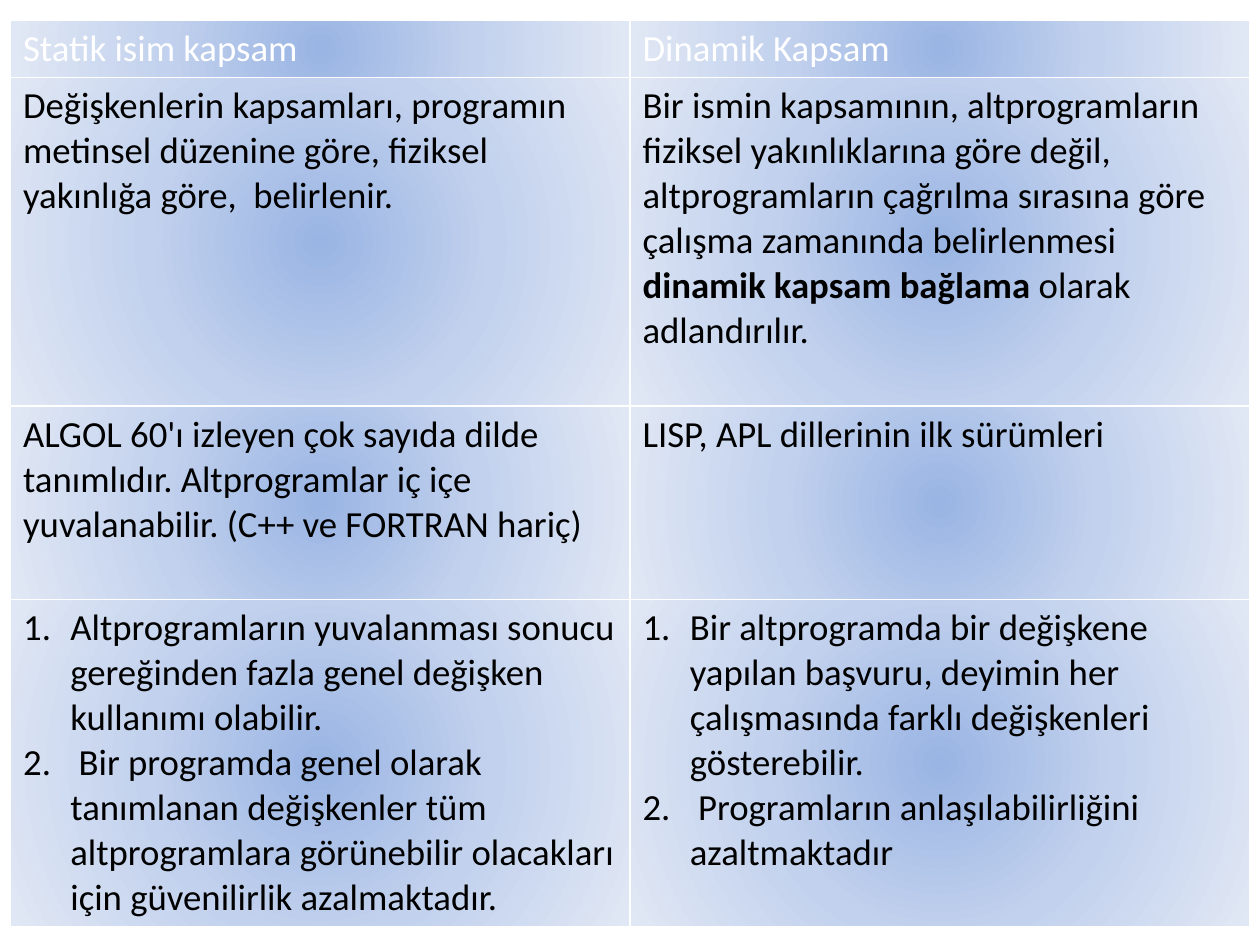
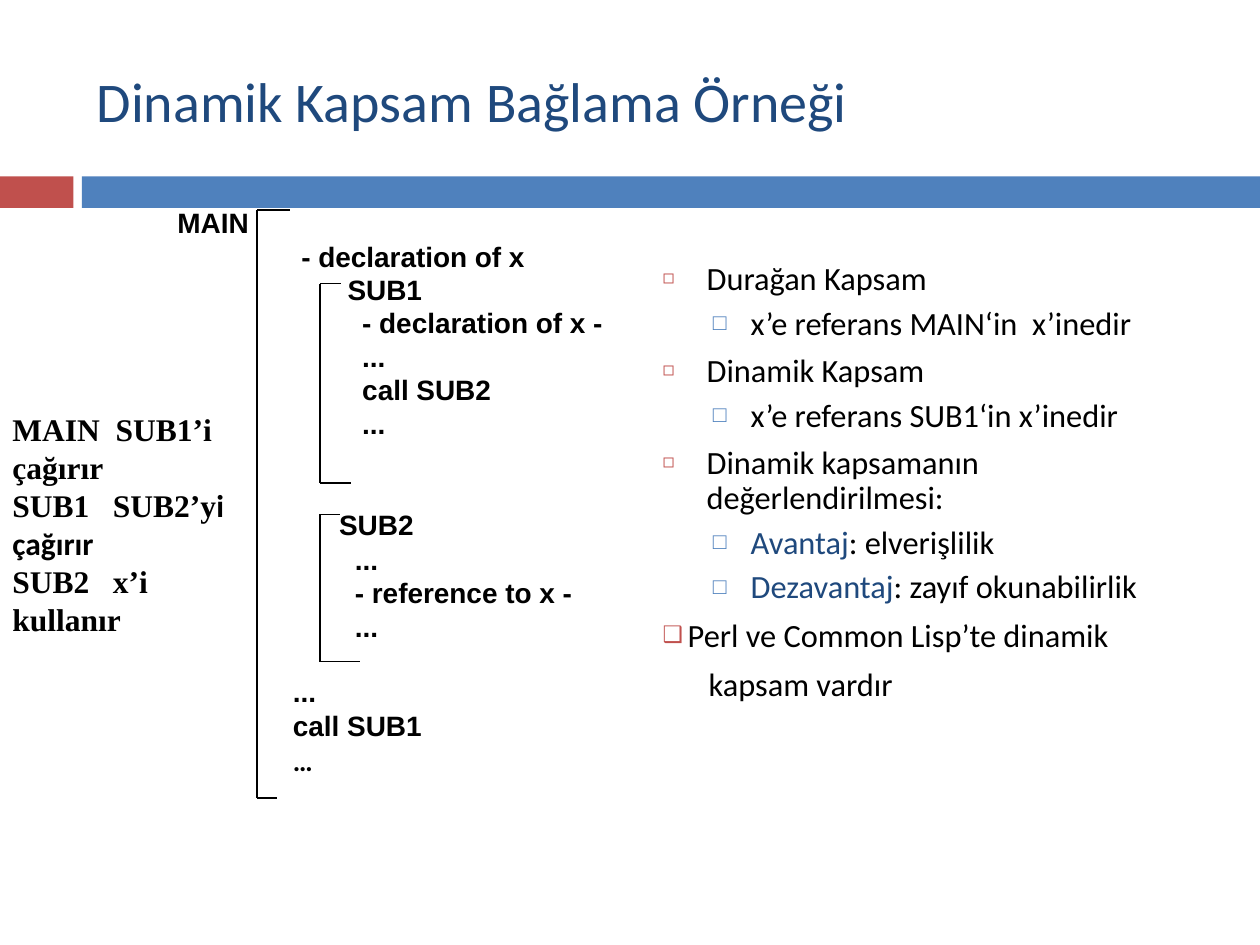
from lxml import etree
from pptx import Presentation
from pptx.dml.color import RGBColor
from pptx.enum.shapes import MSO_CONNECTOR, MSO_SHAPE
from pptx.enum.text import MSO_ANCHOR, MSO_AUTO_SIZE, PP_ALIGN
from pptx.oxml import parse_xml
from pptx.oxml.ns import nsdecls, qn
from pptx.util import Inches, Pt

LINE, RECT = MSO_CONNECTOR.STRAIGHT, MSO_SHAPE.RECTANGLE
LEFT, MIDDLE, FIXED = PP_ALIGN.LEFT, MSO_ANCHOR.MIDDLE, MSO_AUTO_SIZE.NONE
COLS, ROWS = 120, 90
WIDE, HIGH = Inches(10), Inches(7.5)
HUES = {"ink": "000000", "paper": "FFFFFF", "title": "1F497D", "red": "C0504D",
        "blue": "4F81BD", "core": "9AB5E4", "mid": "C2D1ED", "rim": "E1E8F5"}
SANS, CODE, SERIF = "Calibri", "Arial", "Times New Roman"

HEADS = ["Statik isim kapsam", "Dinamik Kapsam"]
CELLS = [
    [[["Değişkenlerin kapsamları, programın metinsel düzenine göre, fiziksel "
       "yakınlığa göre,  belirlenir."]],
     [["Bir ismin kapsamının, altprogramların fiziksel yakınlıklarına göre değil, "
       "altprogramların çağrılma sırasına göre çalışma zamanında belirlenmesi ",
       "dinamik kapsam bağlama", " olarak adlandırılır."]]],
    [[["ALGOL 60'ı izleyen çok sayıda dilde tanımlıdır. Altprogramlar iç içe "
       "yuvalanabilir. (C++ ve FORTRAN hariç)"]],
     [["LISP, APL dillerinin ilk sürümleri"]]],
    [[["Altprogramların yuvalanması sonucu gereğinden fazla genel değişken "
       "kullanımı olabilir."],
      [" Bir programda genel olarak tanımlanan değişkenler tüm altprogramlara "
       "görünebilir olacakları için güvenilirlik azalmaktadır."]],
     [["Bir altprogramda bir değişkene yapılan başvuru, deyimin her çalışmasında "
       "farklı değişkenleri gösterebilir."],
      [" Programların anlaşılabilirliğini azaltmaktadır"]]],
]
TALL = [5.4, 31.3, 18.4, 31.1]

STEPS = [
    ("MAIN", 0, 0), ("- declaration of x", 11.8, 0), ("SUB1", 16.2, 0),
    ("- declaration of x -", 17.6, 0), ("...", 17.6, 0), ("call SUB2", 17.6, 0),
    ("...", 17.6, 0), ("SUB2", 15.4, 38.5), ("...", 16.9, 1),
    ("- reference to x -", 16.9, 0), ("...", 16.9, 0), ("...", 11, 18.5),
    ("call SUB1", 11, 0), ("…", 11, 1),
]
HOOKS = [(8.8, 1, 57, 3.1, 1.9), (14.8, 8, 27, 2, 2.9), (14.8, 30, 44, 1.9, 3.8)]
CALLS = [[("MAIN  SUB1’i çağırır", SERIF)],
         [("SUB1   SUB2’y", SERIF), ("i çağırır", SANS)],
         [("SUB2   x’i kullanır", SERIF)]]

KINDS = {
    "top": dict(level=0, left=4.2, hang=4.2, mark="◻", hue="red", share=60, lead=0.9, gap=7),
    "sub": dict(level=1, left=8.4, hang=3.6, mark="□", hue="blue", share=70, lead=0.9, gap=5.5),
    "last": dict(level=0, left=2.4, hang=2.4, mark="❑", hue="red", share=70, lead=1, gap=5.5),
    "tail": dict(level=0, left=4.4, hang=0, mark=None, hue="red", share=70, lead=1, gap=5.5),
}
POINTS = [
    ("top", "", "Durağan Kapsam"), ("sub", "", "x’e referans MAIN‘in  x’inedir"),
    ("top", "", "Dinamik Kapsam"), ("sub", "", "x’e referans SUB1‘in x’inedir"),
    ("top", "", "Dinamik kapsamanın değerlendirilmesi:"),
    ("sub", "Avantaj", ": elverişlilik"),
    ("sub", "Dezavantaj", ": zayıf okunabilirlik"),
    ("last", "", "Perl ve Common Lisp’te dinamik"), ("tail", "", "kapsam vardır"),
]


def across(cols):
    """Turn grid columns into a length."""
    return round(WIDE * cols / COLS)


def down(rows):
    """Turn grid rows into a length."""
    return round(HIGH * rows / ROWS)


def place(box):
    """Turn a grid box into left, top, width and height."""
    x, y, w, h = box
    return across(x), down(y), across(w), down(h)


def move(shape, box):
    """Put a placeholder into a grid box and return its text frame."""
    shape.left, shape.top, shape.width, shape.height = place(box)
    frame = shape.text_frame
    frame.auto_size, frame.word_wrap = FIXED, True
    return frame


def lines(frame, items):
    """Pair each item with a paragraph of the frame."""
    for i, item in enumerate(items):
        yield (frame.add_paragraph() if i else frame.paragraphs[0]), item


def write(para, text, size, hue="ink", font=SANS, bold=False):
    """Add one formatted run."""
    run = para.add_run()
    run.text = text
    run.font.size, run.font.name, run.font.bold = Pt(size), font, bold
    run.font.color.rgb = RGBColor.from_string(HUES[hue])


def indent(para, left, hang=0):
    """Set a hanging indent in grid columns and return the properties."""
    props = para._p.get_or_add_pPr()
    props.set("marL", str(across(left)))
    props.set("indent", str(-across(hang)))
    return props


def space(para, lead, gap=0):
    """Set line spacing and the gap above."""
    para.line_spacing, para.space_before, para.space_after = lead, Pt(gap), Pt(0)


def bullet(props, mark=None, hue="ink", share=100):
    """Give a paragraph a coloured bullet, or none."""
    if not mark:
        etree.SubElement(props, qn("a:buNone"))
        return
    tint = etree.SubElement(props, qn("a:buClr"))
    etree.SubElement(tint, qn("a:srgbClr"), val=HUES[hue])
    etree.SubElement(props, qn("a:buSzPct"), val=str(share * 1000))
    etree.SubElement(props, qn("a:buChar"), char=mark)


def glow(cell):
    """Give a cell white borders and a round gradient."""
    props = cell._tc.get_or_add_tcPr()
    for side in ("lnL", "lnR", "lnT", "lnB"):
        props.append(parse_xml(
            f'<a:{side} {nsdecls("a")} w="12700"><a:solidFill>'
            f'<a:srgbClr val="{HUES["paper"]}"/></a:solidFill></a:{side}>'))
    stops = "".join(f'<a:gs pos="{at * 1000}"><a:srgbClr val="{HUES[hue]}"/></a:gs>'
                    for at, hue in ((0, "core"), (50, "mid"), (100, "rim")))
    props.append(parse_xml(
        f'<a:gradFill {nsdecls("a")} rotWithShape="1"><a:gsLst>{stops}</a:gsLst>'
        '<a:path path="circle"><a:fillToRect l="50000" t="50000" r="50000" b="50000"/>'
        '</a:path></a:gradFill>'))


def fill(cell, paras, hue):
    """Write the paragraphs of a cell, numbered if there are several."""
    for para, runs in lines(cell.text_frame, paras):
        if len(paras) > 1:
            etree.SubElement(indent(para, 4.5, 4.5), qn("a:buAutoNum"), type="arabicPeriod")
        for i, text in enumerate(runs):
            write(para, text, 21, hue, bold=i == 1)
    glow(cell)


def grid(slide, box):
    """Draw the table that compares both scopes."""
    table = slide.shapes.add_table(len(TALL), len(HEADS), *place(box)).table
    for col in table.columns:
        col.width = across(box[2] / len(HEADS))
    for row, tall in zip(table.rows, TALL):
        row.height = down(tall)
    for r, row in enumerate([[[[head]] for head in HEADS]] + CELLS):
        for c, paras in enumerate(row):
            fill(table.cell(r, c), paras, "ink" if r else "paper")


def bands(slide, box):
    """Draw the red and blue bands under the title."""
    x, y, w, h = box
    for left, wide, hue in ((0, 7, "red"), (7.8, w - 7.8, "blue")):
        band = slide.shapes.add_shape(RECT, *place((x + left, y, wide, h)))
        band.shadow.inherit = False
        band.fill.solid()
        band.fill.fore_color.rgb = RGBColor.from_string(HUES[hue])
        band.line.fill.background()


def title(slide, text, box):
    """Set the slide title."""
    frame = move(slide.shapes.title, box)
    frame.vertical_anchor = MIDDLE
    para = frame.paragraphs[0]
    para.alignment = LEFT
    write(para, text, 32, "title")


def stroke(slide, start, end):
    """Draw a thin line between two grid points."""
    line = slide.shapes.add_connector(LINE, across(start[0]), down(start[1]),
                                      across(end[0]), down(end[1]))
    line.line.width = Pt(1)
    line.line.color.rgb = RGBColor.from_string(HUES["ink"])
    etree.SubElement(line._element.spPr, qn("a:effectLst"))


def code(slide, holder, box):
    """Write the nested program and its scope brackets."""
    for para, (text, left, gap) in lines(move(holder, box), STEPS):
        bullet(indent(para, left))
        space(para, Pt(19.1), gap)
        write(para, text, 16, font=SANS if text == "…" else CODE, bold=True)
    for x, top, base, head, foot in HOOKS:
        x, top, base = box[0] + x, box[1] + top, box[1] + base
        stroke(slide, (x, top), (x + head, top))
        stroke(slide, (x, top), (x, base))
        stroke(slide, (x, base), (x + foot, base))


def note(slide, box):
    """Write the order of the calls."""
    frame = slide.shapes.add_textbox(*place(box)).text_frame
    frame.word_wrap = True
    for para, runs in lines(frame, CALLS):
        space(para, Pt(21.7))
        for text, font in runs:
            write(para, text, 18, font=font, bold=True)


def points(holder, box):
    """Write the bulleted list on scopes."""
    for para, (kind, term, text) in lines(move(holder, box), POINTS):
        look = KINDS[kind]
        para.level = look["level"]
        bullet(indent(para, look["left"], look["hang"]),
               look["mark"], look["hue"], look["share"])
        space(para, look["lead"], look["gap"])
        if term:
            write(para, term, 18.5, "title")
        write(para, text, 18.5)


def main():
    """Build both slides and save them."""
    deck = Presentation()
    deck.slide_width, deck.slide_height = WIDE, HIGH
    grid(deck.slides.add_slide(deck.slide_layouts[6]), (1, 1.9, 118, sum(TALL)))

    slide = deck.slides.add_slide(deck.slide_layouts[3])
    bands(slide, (0, 16.8, COLS, 3))
    title(slide, "Dinamik Kapsam Bağlama Örneği", (8, 3, 107, 13))
    code(slide, slide.placeholders[1], (15.7, 19, 94, 59))
    note(slide, (0, 38.4, 24.4, 23))
    points(slide.placeholders[2], (61.9, 24.4, 55.7, 46))
    deck.save("out.pptx")


if __name__ == "__main__":
    main()
